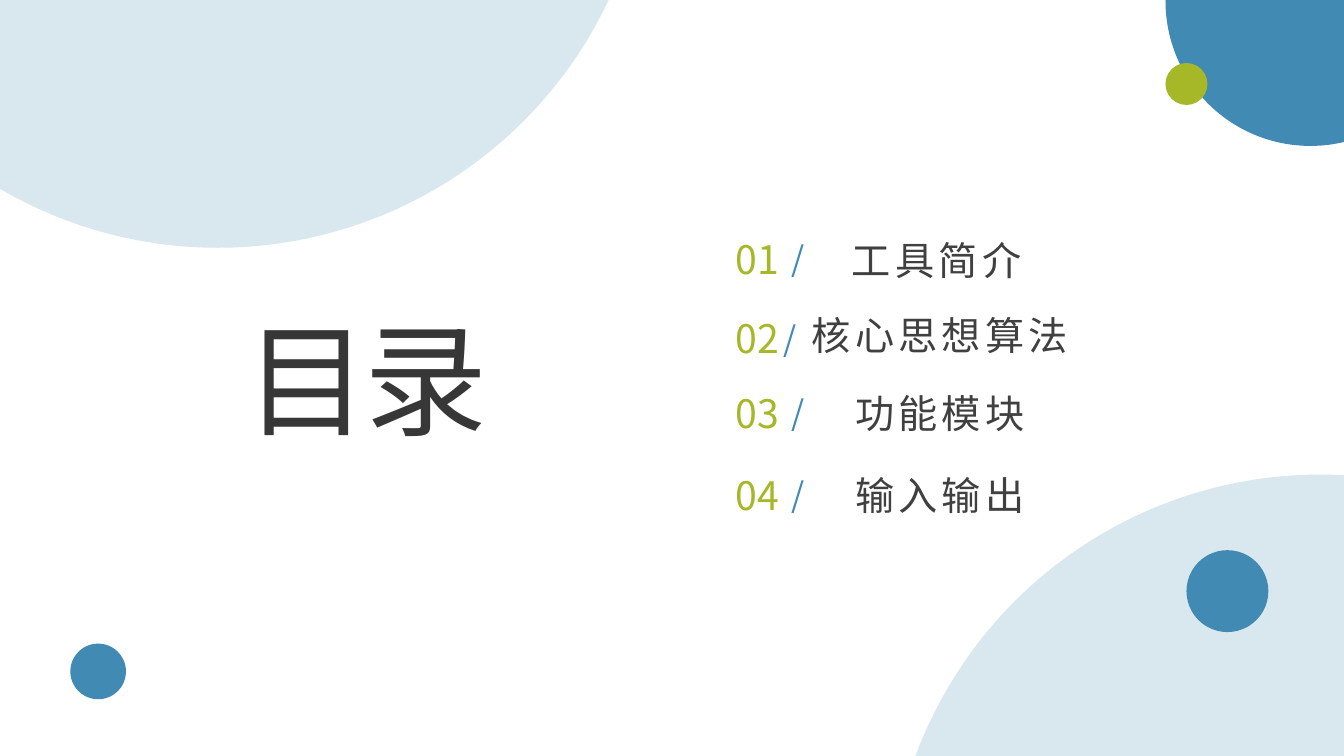
import pptx
import pptx.dml.color
import pptx.enum.shapes
import pptx.enum.text
import pptx.oxml.ns
import pptx.util
from lxml import etree

COLORS = {
    "blue": "418AB3",
    "green": "A6B727",
    "title": "373737",
    "label": "404040",
}
Align = pptx.enum.text.PP_ALIGN
AutoSize = pptx.enum.text.MSO_AUTO_SIZE


class SlideBuilder:
    FONT = "Noto Sans CJK SC"
    EMU_PER_PX = 9525

    def __init__(self, page):
        self.page = page

    @classmethod
    def px(cls, length):
        return pptx.util.Emu(length * cls.EMU_PER_PX)

    def color(self, name):
        return pptx.dml.color.RGBColor.from_string(COLORS[name])

    def circle(self, left, top, size, color, opacity=100):
        shape = self.page.shapes.add_shape(
            pptx.enum.shapes.MSO_SHAPE.FLOWCHART_CONNECTOR,
            *map(self.px, (left, top, size, size)))
        shape.shadow.inherit = False
        shape.line.fill.background()
        shape.fill.solid()
        shape.fill.fore_color.rgb = self.color(color)
        if opacity < 100:
            tone = shape.fill._xPr.find(".//" + pptx.oxml.ns.qn("a:srgbClr"))
            alpha = etree.SubElement(tone, pptx.oxml.ns.qn("a:alpha"))
            alpha.set("val", str(opacity * 1000))

    def fill_frame(self, frame, text, size, color, align, spacing):
        """Fill a text frame with one styled paragraph; spacing is in points."""
        frame.auto_size = AutoSize.SHAPE_TO_FIT_TEXT
        frame.vertical_anchor = pptx.enum.text.MSO_ANCHOR.TOP
        para = frame.paragraphs[0]
        para.text = text
        para.alignment = align
        font = para.font
        font.size = pptx.util.Pt(size)
        font.name = self.FONT
        font.color.rgb = self.color(color)
        east_asian = etree.SubElement(font._rPr, pptx.oxml.ns.qn("a:ea"))
        east_asian.set("typeface", self.FONT)
        if spacing:
            font._rPr.set("spc", str(spacing * 100))

    def title(self, text, left, top, width, height):
        box = self.page.shapes.title
        box.left, box.top, box.width, box.height = map(
            self.px, (left, top, width, height))
        box.text_frame.word_wrap = True
        self.fill_frame(box.text_frame, text, 88, "title", Align.JUSTIFY, -3)

    def text(self, text, left, top, width, height, size, color, spacing=0):
        box = self.page.shapes.add_textbox(
            *map(self.px, (left, top, width, height)))
        box.text_frame.word_wrap = False
        self.fill_frame(box.text_frame, text, size, color, Align.CENTER, spacing)

    def entry(self, number, top, slash_left, label, label_left, label_top,
              label_width):
        self.text(f"{number:02}", 691, top, 61, 55, 28, "green")
        self.text("/", slash_left, top + 3, 36, 48, 24, "blue", 3)
        self.text(label, label_left, label_top, label_width, 55, 28, "label", 3)


def main():
    deck = pptx.Presentation()
    deck.slide_width = SlideBuilder.px(1280)
    deck.slide_height = SlideBuilder.px(720)
    title_only = deck.slide_layouts[5]
    builder = SlideBuilder(deck.slides.add_slide(title_only))

    for circle in (
        (846, 452, 823, "blue", 20),
        (1110, -137, 276, "blue"),
        (67, 613, 53, "blue"),
        (-204, -587, 823, "blue", 20),
        (1110, 60, 40, "green"),
        (1130, 524, 78, "blue"),
    ):
        builder.circle(*circle)

    builder.title("目录", 224, 284, 270, 152)

    entries = (
        (219, 742, "工具简介", 799, 220, 186),
        (295, 734, "核心思想算法", 760, 292, 270),
        (366, 742, "功能模块", 802, 366, 186),
        (444, 742, "输入输出", 802, 444, 186),
    )
    for number, entry in enumerate(entries, start=1):
        builder.entry(number, *entry)

    deck.save("out.pptx")


if __name__ == "__main__":
    main()
